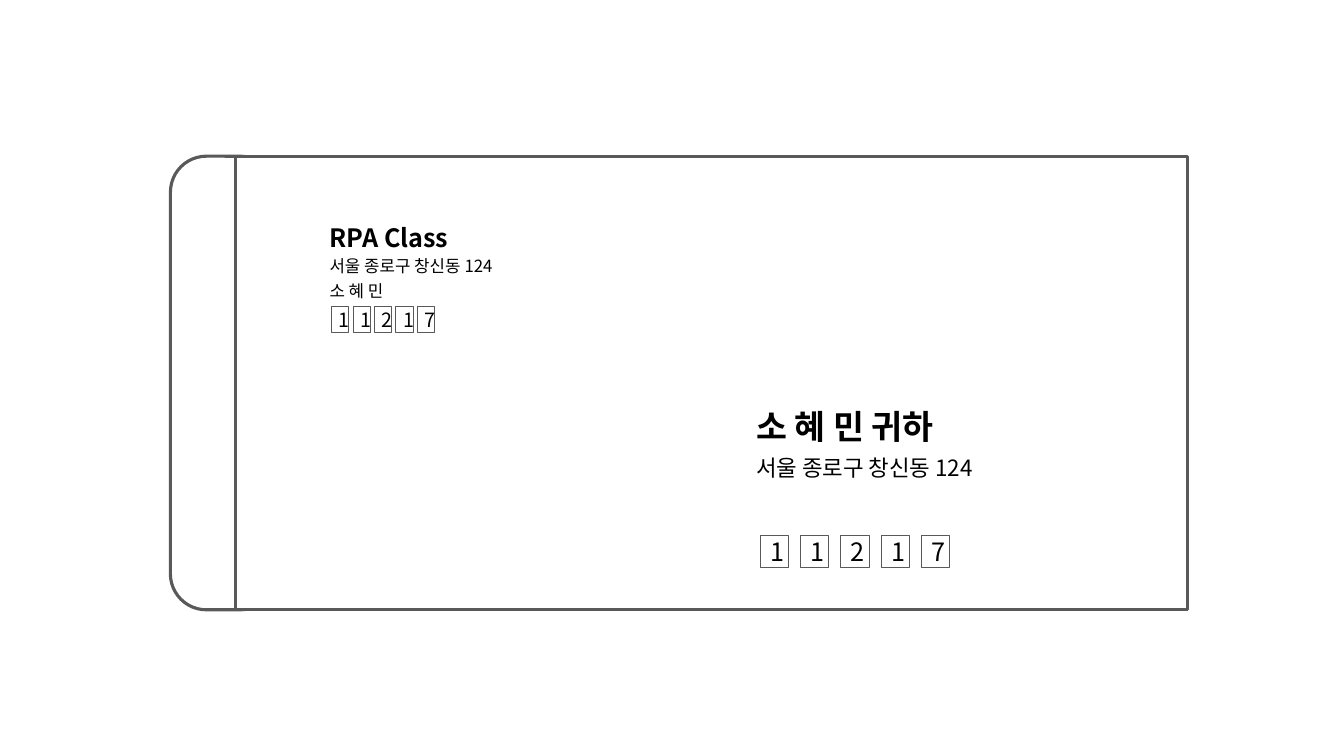
from lxml.etree import SubElement
from pptx import Presentation
from pptx.dml.color import RGBColor
from pptx.enum.shapes import MSO_SHAPE as Preset
from pptx.enum.text import MSO_ANCHOR as Anchor, MSO_AUTO_SIZE as AutoSize, PP_ALIGN as Align
from pptx.oxml.ns import qn
from pptx.util import Inches, Pt

COLORS = {"line": "595959", "paper": "FFFFFF", "ink": "000000"}
FONT = "Noto Sans CJK KR"
ADDRESS = "서울 종로구 창신동 124"
POSTCODE = "11217"


class Envelope:
    """Holds the style and the slide being drawn."""

    def __init__(self, page):
        self.page = page

    def color(self, name):
        """Return a named colour."""
        return RGBColor.from_string(COLORS[name])

    def set_text(self, frame, text, size, bold=False):
        """Fill a frame with one styled paragraph and return it."""
        para = frame.paragraphs[0]
        para.text = text
        font = para.font
        font.name, font.size, font.bold = FONT, Pt(size), bold
        font.color.rgb = self.color("ink")
        defaults = para._p.pPr.find(qn("a:defRPr"))
        SubElement(defaults, qn("a:ea"), typeface=FONT)
        return para

    def outline(self, preset, left, top, width, height, weight, fill=None):
        """Add an outlined shape, hollow unless a fill is named."""
        box = self.page.shapes.add_shape(
            preset, Inches(left), Inches(top), Inches(width), Inches(height))
        box.shadow.inherit = False
        if fill:
            box.fill.solid()
            box.fill.fore_color.rgb = self.color(fill)
        else:
            box.fill.background()
        box.line.color.rgb = self.color("line")
        box.line.width = Pt(weight)
        return box

    def label(self, text, left, top, width, height, size, bold=False, wrap=True):
        """Add a line of text in a box that fits it."""
        box = self.page.shapes.add_textbox(
            Inches(left), Inches(top), Inches(width), Inches(height))
        box.text_frame.word_wrap = wrap
        box.text_frame.auto_size = AutoSize.SHAPE_TO_FIT_TEXT
        self.set_text(box.text_frame, text, size, bold)

    def postcode(self, digits, left, top, width, height, pitch, size):
        """Add a row of evenly spaced boxes, one digit in each."""
        for index, digit in enumerate(digits):
            box = self.outline(Preset.RECTANGLE, left + index * pitch, top,
                               width, height, 0.75)
            box.text_frame.vertical_anchor = Anchor.MIDDLE
            self.set_text(box.text_frame, digit, size).alignment = Align.CENTER


def main():
    """Build the addressed envelope."""
    deck = Presentation()
    deck.slide_width, deck.slide_height = Inches(13.33), Inches(7.5)
    envelope = Envelope(deck.slides.add_slide(deck.slide_layouts[6]))

    flap = envelope.outline(Preset.ROUNDED_RECTANGLE, 1.69, 1.55, 1.05, 4.5, 2.25)
    flap.adjustments[0] = 0.34
    envelope.outline(Preset.RECTANGLE, 2.34, 1.55, 9.44, 4.5, 2.25, fill="paper")

    # Sender
    envelope.label("RPA Class", 3.17, 2.16, 1.38, 0.4, 18, bold=True, wrap=False)
    envelope.label(ADDRESS, 3.17, 2.49, 2.02, 0.3, 12, wrap=False)
    envelope.label("소 혜 민", 3.17, 2.74, 1.14, 0.3, 12)
    envelope.postcode(POSTCODE, 3.29, 3.04, 0.17, 0.26, 0.85 / 4, 14)

    # Recipient
    envelope.label("소 혜 민 귀하", 7.4, 3.98, 4.25, 0.5, 24, bold=True)
    envelope.label(ADDRESS, 7.4, 4.46, 4.38, 0.37, 16)
    envelope.postcode(POSTCODE, 7.54, 5.31, 0.28, 0.32, 0.4, 18)

    deck.save("out.pptx")


main()
